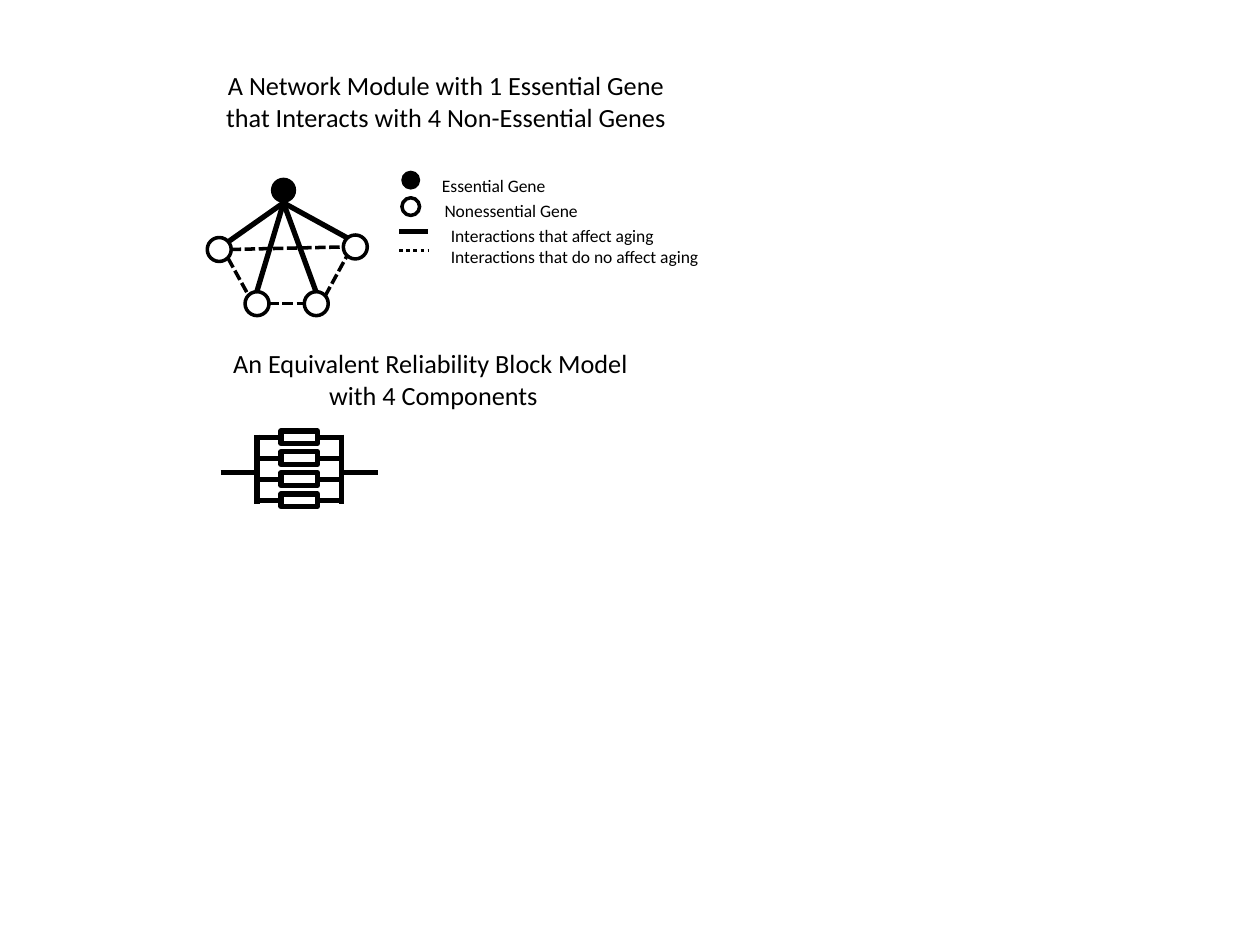
from pptx import Presentation
from pptx.dml.color import RGBColor
from pptx.enum.dml import MSO_LINE
from pptx.enum.shapes import MSO_CONNECTOR, MSO_SHAPE
from pptx.enum.text import MSO_ANCHOR, MSO_AUTO_SIZE, PP_ALIGN
from pptx.oxml.ns import qn
from pptx.util import Inches, Pt
from lxml.etree import SubElement

BLACK = RGBColor(0, 0, 0)
WHITE = RGBColor(255, 255, 255)


class Diagram:
    font = "Calibri"
    thick, thin = 3, 2

    def __init__(self, slide):
        self.slide = slide

    def shape(self, kind, x, y, w, h, fill=None, width=thin):
        sp = self.slide.shapes.add_shape(
            kind, Inches(x), Inches(y), Inches(w), Inches(h))
        sp.shadow.inherit = False
        if fill is None:
            sp.fill.background()
        else:
            sp.fill.solid()
            sp.fill.fore_color.rgb = fill
        sp.line.color.rgb = BLACK
        sp.line.width = Pt(width)

    def gene(self, cx, cy, size, essential=False):
        """Draw a gene node around its centre."""
        self.shape(MSO_SHAPE.OVAL, cx - size / 2, cy - size / 2, size, size,
                   BLACK if essential else None,
                   0.75 if essential else self.thin)

    def line(self, start, end, width=thick, dash=None):
        c = self.slide.shapes.add_connector(
            MSO_CONNECTOR.STRAIGHT, *map(Inches, (*start, *end)))
        c.line.color.rgb = BLACK
        c.line.width = Pt(width)
        if dash is not None:
            c.line.dash_style = dash
        SubElement(c._element.spPr, qn("a:effectLst"))

    def set_text(self, sp, text, size, align, wrap):
        tf = sp.text_frame
        tf.text = text
        tf.word_wrap = wrap
        tf.auto_size = MSO_AUTO_SIZE.SHAPE_TO_FIT_TEXT
        tf.vertical_anchor = MSO_ANCHOR.TOP
        for p in tf.paragraphs:
            p.alignment = align
            for r in p.runs:
                r.font.name = self.font
                r.font.size = Pt(size)
                r.font.color.rgb = BLACK

    def title(self, text, x, y, w, h):
        sp = self.slide.shapes.title
        sp.left, sp.top, sp.width, sp.height = map(Inches, (x, y, w, h))
        self.set_text(sp, text, 15, PP_ALIGN.CENTER, False)

    def heading(self, text, x, y, w, h):
        sp = self.slide.shapes.add_textbox(*map(Inches, (x, y, w, h)))
        self.set_text(sp, text, 15, PP_ALIGN.CENTER, False)

    def label(self, text, x, y, w):
        sp = self.slide.shapes.add_textbox(*map(Inches, (x, y, w, 0.27)))
        self.set_text(sp, text, 10, PP_ALIGN.LEFT, True)


def draw_network(d):
    d.gene(2.25, 1.51, 0.19, essential=True)
    for cx, cy in ((2.51, 2.41), (2.04, 2.41), (1.74, 1.98), (2.82, 1.96)):
        d.gene(cx, cy, 0.19)
    for end in ((1.81, 1.92), (2.04, 2.31), (2.51, 2.32), (2.76, 1.89)):
        d.line((2.25, 1.61), end)
    for start, end in (((2.58, 2.35), (2.76, 2.02)),
                       ((2.13, 2.41), (2.42, 2.41)),
                       ((1.83, 1.98), (2.73, 1.96)),
                       ((1.81, 2.05), (1.97, 2.34))):
        d.line(start, end, d.thin, MSO_LINE.SQUARE_DOT)


def draw_legend(d):
    d.gene(3.26, 1.43, 0.14, essential=True)
    d.label("Essential Gene", 3.41, 1.34, 1.34)
    d.gene(3.26, 1.64, 0.14)
    d.label("Nonessential Gene", 3.43, 1.54, 1.74)
    d.line((3.17, 1.84), (3.4, 1.84))
    d.label("Interactions that affect aging", 3.48, 1.74, 2.19)
    d.line((3.17, 1.99), (3.4, 1.99), d.thin, MSO_LINE.ROUND_DOT)
    d.label("Interactions that do no affect aging", 3.48, 1.9, 2.19)


def draw_block_model(d):
    left, right, middle = 2.04, 2.71, 3.75
    top, bottom, components = 3.47, 3.97, 4
    d.line((1.75, middle), (left, middle))
    d.line((right, middle), (3, middle))
    for i in range(components):
        y = top + i * (bottom - top) / (components - 1)
        d.line((left, y), (right, y))
        d.shape(MSO_SHAPE.RECTANGLE, 2.23, y - 0.05, 0.29, 0.1, WHITE, d.thick)
    for x in (left, right):
        d.line((x, 3.45), (x, 4))


def main():
    prs = Presentation()
    prs.slide_width, prs.slide_height = Inches(10), Inches(7.5)
    d = Diagram(prs.slides.add_slide(prs.slide_layouts[5]))
    d.title("A Network Module with 1 Essential Gene\n"
            "that Interacts with 4 Non-Essential Genes", 1.67, 0.5, 3.74, 0.61)
    draw_network(d)
    draw_legend(d)
    d.heading("An Equivalent Reliability Block Model \nwith 4 Components",
              1.75, 2.71, 3.38, 0.61)
    draw_block_model(d)
    prs.save("out.pptx")


if __name__ == "__main__":
    main()
